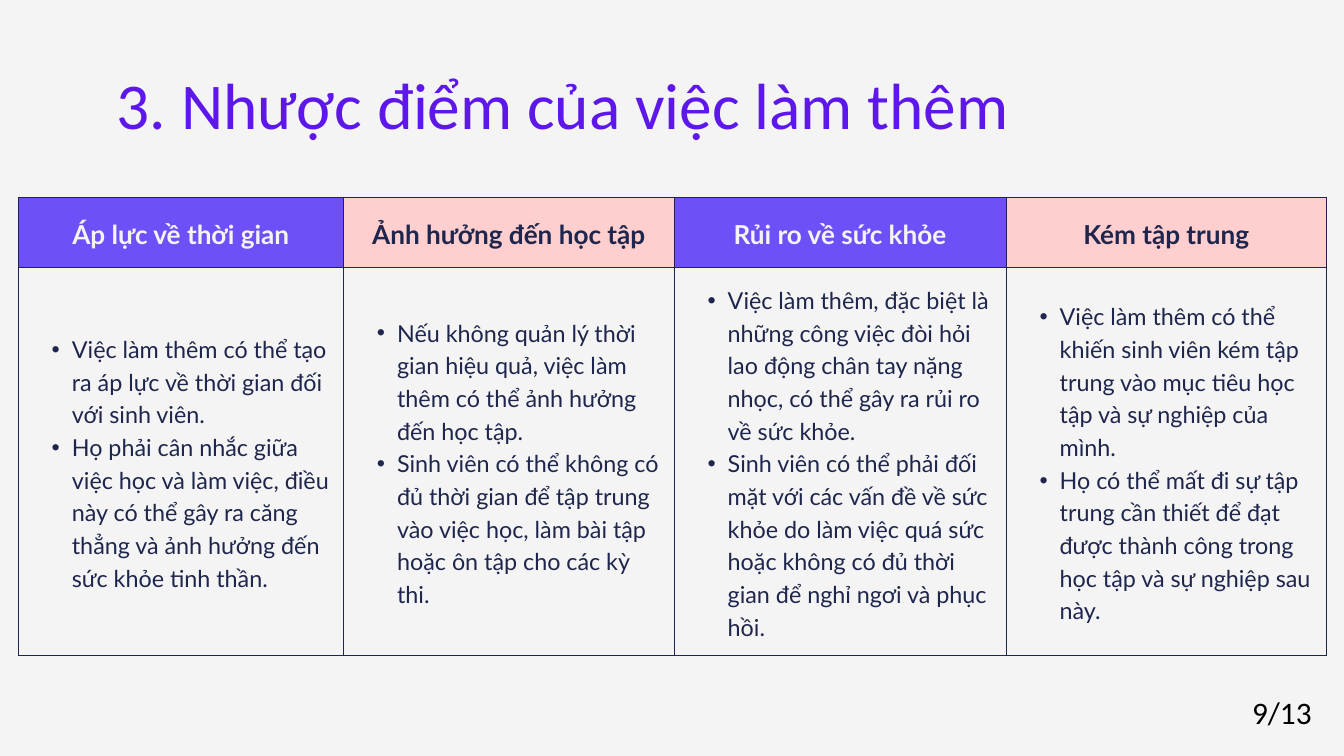
import pptx
import pptx.dml.color
import pptx.enum.text
import pptx.oxml
import pptx.oxml.ns
import pptx.util
from pptx.dml.color import RGBColor
from pptx.util import Inches, Pt

PAPER = RGBColor(0xF4, 0xF4, 0xF4)
NAVY = RGBColor(0x1F, 0x26, 0x4D)
VIOLET = RGBColor(0x6F, 0x50, 0xF8)
PINK = RGBColor(0xFF, 0xCE, 0xCE)
TITLE_VIOLET = RGBColor(0x5E, 0x17, 0xEB)
BLACK = RGBColor(0, 0, 0)

ALIGN = pptx.enum.text.PP_ALIGN
PADDING = Inches(0.21)
COLUMN_WIDTHS = (4.84, 4.92, 4.94, 4.77)
ROW_HEIGHTS = (1.05, 5.75)

# Heading, heading fill, heading colour, bullet points
DRAWBACKS = [
    ("Áp lực về thời gian", VIOLET, PAPER, [
        "Việc làm thêm có thể tạo ra áp lực về thời gian đối với sinh viên.",
        "Họ phải cân nhắc giữa việc học và làm việc, điều này có thể gây ra "
        "căng thẳng và ảnh hưởng đến sức khỏe tinh thần."]),
    ("Ảnh hưởng đến học tập", PINK, NAVY, [
        "Nếu không quản lý thời gian hiệu quả, việc làm thêm có thể ảnh hưởng "
        "đến học tập.",
        "Sinh viên có thể không có đủ thời gian để tập trung vào việc học, "
        "làm bài tập hoặc ôn tập cho các kỳ thi."]),
    ("Rủi ro về sức khỏe", VIOLET, PAPER, [
        "Việc làm thêm, đặc biệt là những công việc đòi hỏi lao động chân tay "
        "nặng nhọc, có thể gây ra rủi ro về sức khỏe.",
        "Sinh viên có thể phải đối mặt với các vấn đề về sức khỏe do làm việc "
        "quá sức hoặc không có đủ thời gian để nghỉ ngơi và phục hồi."]),
    ("Kém tập trung", PINK, NAVY, [
        "Việc làm thêm có thể khiến sinh viên kém tập trung vào mục tiêu học "
        "tập và sự nghiệp của mình.",
        "Họ có thể mất đi sự tập trung cần thiết để đạt được thành công trong "
        "học tập và sự nghiệp sau này."]),
]


def style_paragraph(paragraph, font, size, color, spacing, align, bold=False):
    paragraph.alignment = align
    paragraph.line_spacing = Pt(spacing)
    for run in paragraph.runs:
        run.font.name = font
        run.font.size = Pt(size)
        run.font.bold = bold
        run.font.color.rgb = color


def add_line(slide, box, text, size, color, spacing, align):
    """One line of text without margins."""
    frame = slide.shapes.add_textbox(*map(Inches, box)).text_frame
    frame.word_wrap = True
    frame.margin_left = frame.margin_right = 0
    frame.margin_top = frame.margin_bottom = 0
    frame.text = text
    style_paragraph(frame.paragraphs[0], "Calibri", size, color, spacing, align)


def add_bullet(paragraph):
    properties = paragraph._p.get_or_add_pPr()
    properties.set("lvl", "1")
    properties.set("marL", str(Inches(0.59)))
    properties.set("indent", str(Inches(-0.3)))
    ns = pptx.oxml.ns.nsdecls("a")
    properties.append(pptx.oxml.parse_xml(f'<a:buFont {ns} typeface="Arial"/>'))
    properties.append(pptx.oxml.parse_xml(f'<a:buChar {ns} char="•"/>'))


def style_cell(cell, fill):
    cell.margin_left = cell.margin_right = PADDING
    cell.margin_top = cell.margin_bottom = PADDING
    cell.vertical_anchor = pptx.enum.text.MSO_ANCHOR.MIDDLE
    properties = cell._tc.get_or_add_tcPr()
    for side in ("lnL", "lnR", "lnT", "lnB"):
        properties.append(pptx.oxml.parse_xml(
            f'<a:{side} {pptx.oxml.ns.nsdecls("a")} w="{Pt(0.75)}">'
            f'<a:solidFill><a:srgbClr val="{NAVY}"/></a:solidFill></a:{side}>'))
    cell.fill.solid()
    cell.fill.fore_color.rgb = fill


def add_drawbacks_table(slide, box):
    table = slide.shapes.add_table(2, len(DRAWBACKS), *map(Inches, box)).table
    table.first_row = table.horz_banding = False
    for row, height in zip(table.rows, ROW_HEIGHTS):
        row.height = Inches(height)
    for column, width in zip(table.columns, COLUMN_WIDTHS):
        column.width = Inches(width)

    for index, (heading, fill, color, points) in enumerate(DRAWBACKS):
        # Heading
        head = table.cell(0, index)
        style_cell(head, fill)
        head.text_frame.text = heading
        style_paragraph(head.text_frame.paragraphs[0], "Lato", 28, color, 39.2,
                        ALIGN.CENTER, bold=True)
        # Bullet points
        body = table.cell(1, index)
        style_cell(body, PAPER)
        body.text_frame.text = "\n".join(points)
        for paragraph in body.text_frame.paragraphs:
            add_bullet(paragraph)
            style_paragraph(paragraph, "Lato", 25, NAVY, 35, ALIGN.LEFT)


def main():
    deck = pptx.Presentation()
    deck.slide_width = Inches(20)
    deck.slide_height = Inches(11.25)
    slide = deck.slides.add_slide(deck.slide_layouts[6])
    slide.background.fill.solid()
    slide.background.fill.fore_color.rgb = PAPER

    add_drawbacks_table(slide, (0.27, 2.93, sum(COLUMN_WIDTHS), sum(ROW_HEIGHTS)))
    # Title and page number
    add_line(slide, (1.74, 0.96, 16.51, 1.16), "3. Nhược điểm của việc làm thêm",
             70, TITLE_VIOLET, 84, ALIGN.LEFT)
    add_line(slide, (18.59, 10.22, 0.97, 0.62), "9/13", 33.5, BLACK, 47, ALIGN.CENTER)

    deck.save("out.pptx")


if __name__ == "__main__":
    main()
